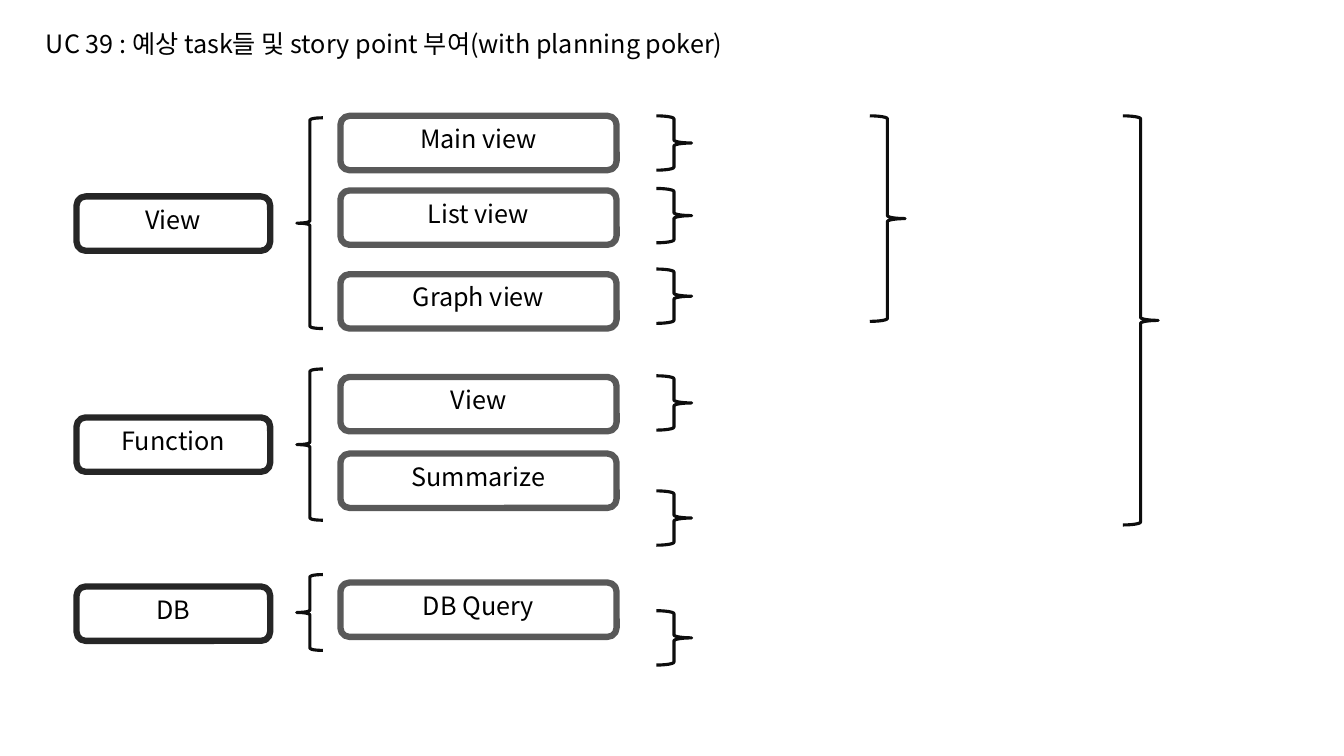
from dataclasses import dataclass

from lxml import etree
from pptx import Presentation
from pptx.dml.color import RGBColor
from pptx.enum.shapes import MSO_SHAPE
from pptx.enum.text import MSO_ANCHOR, PP_ALIGN
from pptx.oxml.ns import qn
from pptx.util import Cm, Pt

ROUNDED = MSO_SHAPE.ROUNDED_RECTANGLE
LEFT_BRACE, RIGHT_BRACE = MSO_SHAPE.LEFT_BRACE, MSO_SHAPE.RIGHT_BRACE
TOP = MSO_ANCHOR.TOP
LEFT, CENTER = PP_ALIGN.LEFT, PP_ALIGN.CENTER


@dataclass(frozen=True)
class Theme:
    """Colours, font and sizes used on the slide."""
    font: str = "Noto Sans CJK KR"
    text: RGBColor = RGBColor(0x00, 0x00, 0x00)
    group: RGBColor = RGBColor(0x26, 0x26, 0x26)
    task: RGBColor = RGBColor(0x59, 0x59, 0x59)
    brace: RGBColor = RGBColor(0x0D, 0x0D, 0x0D)
    text_size: float = 18
    box_line: float = 4.5
    brace_line: float = 2.25


class SlideBuilder:
    """Draws styled elements on one slide; lengths are in centimetres."""

    def __init__(self, slide, theme):
        """Keep the slide and its theme."""
        self.slide = slide
        self.theme = theme

    def label(self, shape, text, alignment):
        """Put one styled paragraph into a shape."""
        paragraph = shape.text_frame.paragraphs[0]
        paragraph.text = text
        paragraph.alignment = alignment
        font = paragraph.font
        font.name = self.theme.font
        font.size = Pt(self.theme.text_size)
        font.color.rgb = self.theme.text
        properties = paragraph._p.pPr.find(qn("a:defRPr"))
        etree.SubElement(properties, qn("a:ea"), typeface=self.theme.font)

    def title(self, text, left, top, width, height):
        """Add the heading text box."""
        box = self.slide.shapes.add_textbox(Cm(left), Cm(top), Cm(width), Cm(height))
        box.text_frame.word_wrap = True
        self.label(box, text, LEFT)

    def outline(self, kind, left, top, width, height, color, line_width):
        """Add an unfilled preset shape."""
        shape = self.slide.shapes.add_shape(kind, Cm(left), Cm(top), Cm(width), Cm(height))
        shape.shadow.inherit = False
        shape.fill.background()
        shape.line.color.rgb = color
        shape.line.width = Pt(line_width)
        return shape

    def box(self, text, left, top, width, color):
        """Add a labelled rounded box."""
        shape = self.outline(ROUNDED, left, top, width, ROW_HEIGHT, color, self.theme.box_line)
        shape.text_frame.vertical_anchor = TOP
        self.label(shape, text, CENTER)

    def brace(self, kind, left, top, width, height):
        """Add a curly brace."""
        self.outline(kind, left, top, width, height, self.theme.brace, self.theme.brace_line)


ROW_HEIGHT = 1.37
GROUP_LEFT, GROUP_WIDTH = 1.93, 4.88
TASK_LEFT, TASK_WIDTH = 8.58, 6.96
GROUP_BRACE_LEFT, GROUP_BRACE_WIDTH = 7.48, 0.66
POINT_LEFT, POINT_WIDTH = 16.54, 0.89

# Group name, box top, brace top, brace height, (task name, box top, point brace top)
GROUPS = [
    ("View", 4.95, 2.97, 5.31, [("Main view", 2.92, 2.92),
                                ("List view", 4.8, 4.75),
                                ("Graph view", 6.91, 6.78)]),
    ("Function", 10.52, 9.3, 3.81, [("View", 9.5, 9.47),
                                    ("Summarize", 11.43, 12.37)]),
    ("DB", 14.78, 14.48, 1.91, [("DB Query", 14.68, 15.39)]),
]
# Left and height of the braces that sum up the points
TOTAL_TOP = 2.92
TOTALS = [(21.92, 5.18), (28.3, 10.31)]


def main():
    """Build and save the presentation."""
    presentation = Presentation()
    presentation.slide_width, presentation.slide_height = Cm(33.87), Cm(19.05)
    slide = presentation.slides.add_slide(presentation.slide_layouts[6])
    theme = Theme()
    builder = SlideBuilder(slide, theme)

    builder.title("UC 39 : 예상 task들 및 story point 부여(with planning poker)",
                  0.91, 0.6, 21.87, 1.17)
    for group, group_top, brace_top, brace_height, tasks in GROUPS:
        builder.box(group, GROUP_LEFT, group_top, GROUP_WIDTH, theme.group)
        builder.brace(LEFT_BRACE, GROUP_BRACE_LEFT, brace_top, GROUP_BRACE_WIDTH, brace_height)
        for task, task_top, point_top in tasks:
            builder.box(task, TASK_LEFT, task_top, TASK_WIDTH, theme.task)
            builder.brace(RIGHT_BRACE, POINT_LEFT, point_top, POINT_WIDTH, ROW_HEIGHT)
    for left, height in TOTALS:
        builder.brace(RIGHT_BRACE, left, TOTAL_TOP, POINT_WIDTH, height)

    presentation.save("out.pptx")


main()
